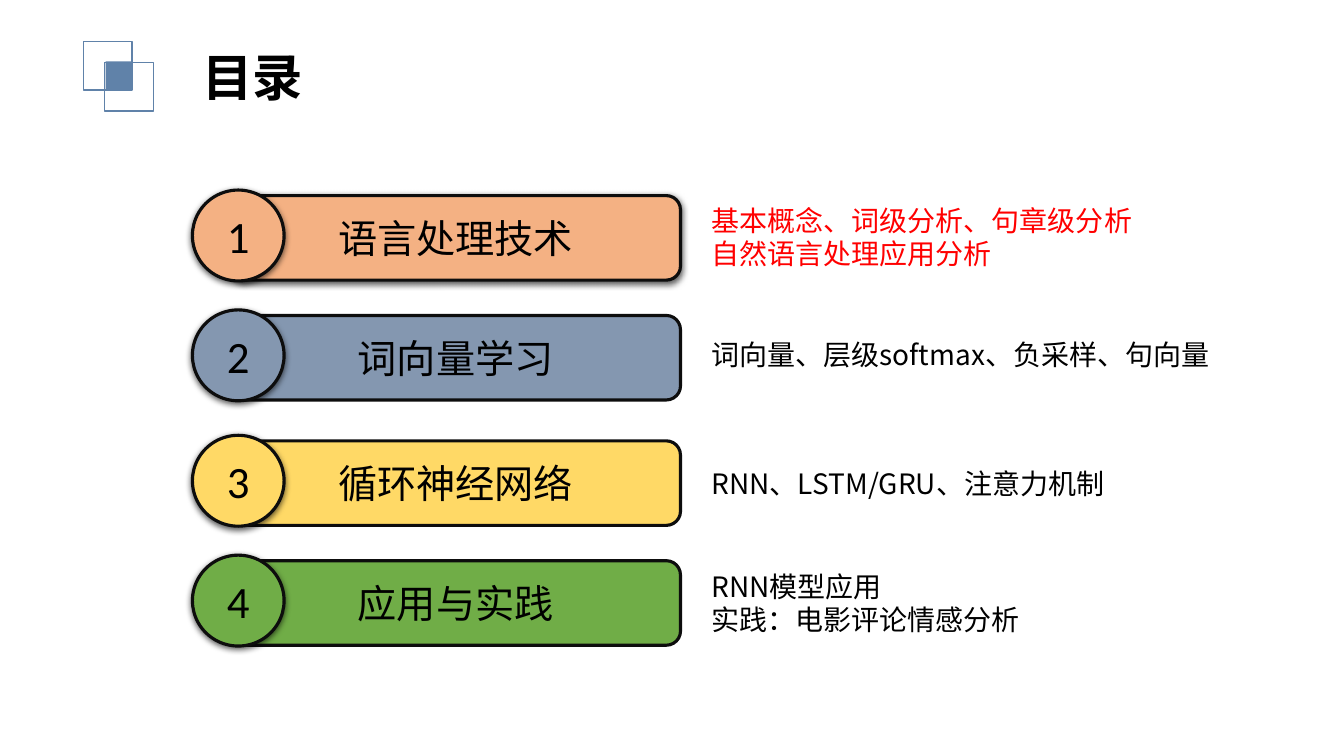
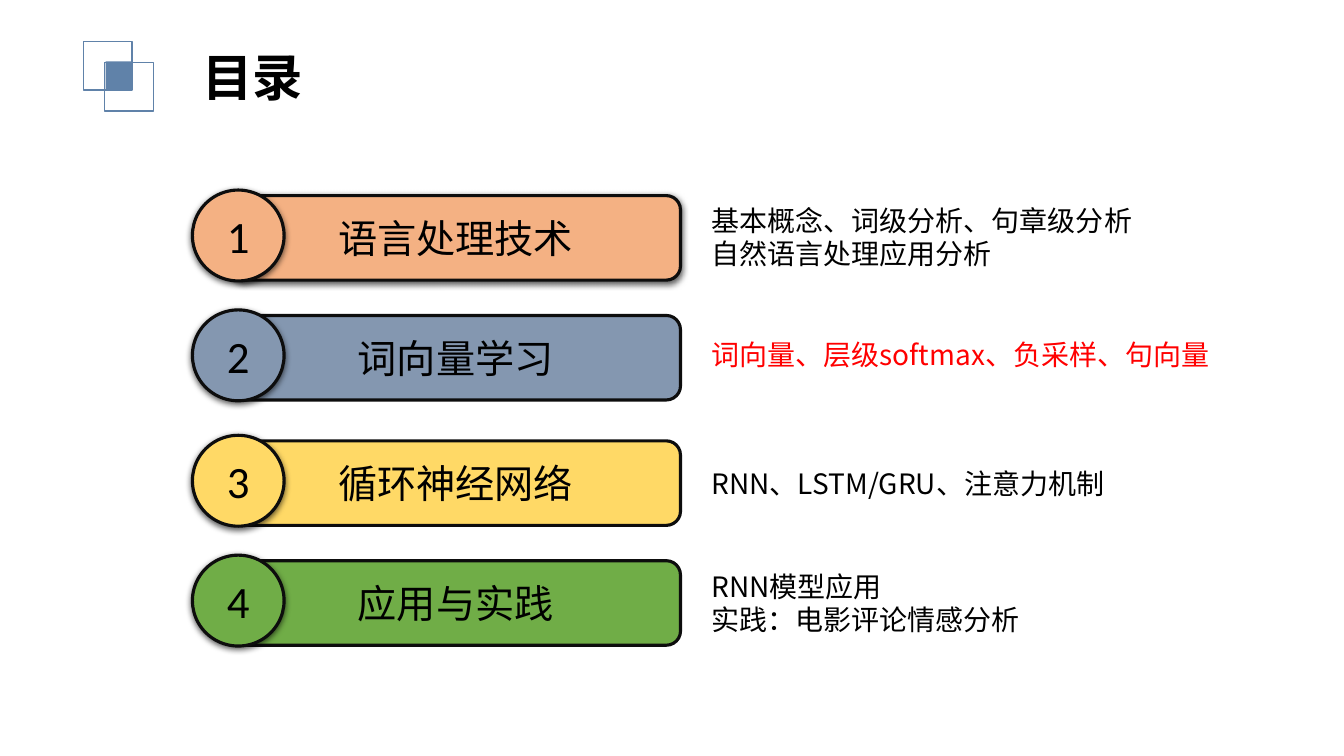
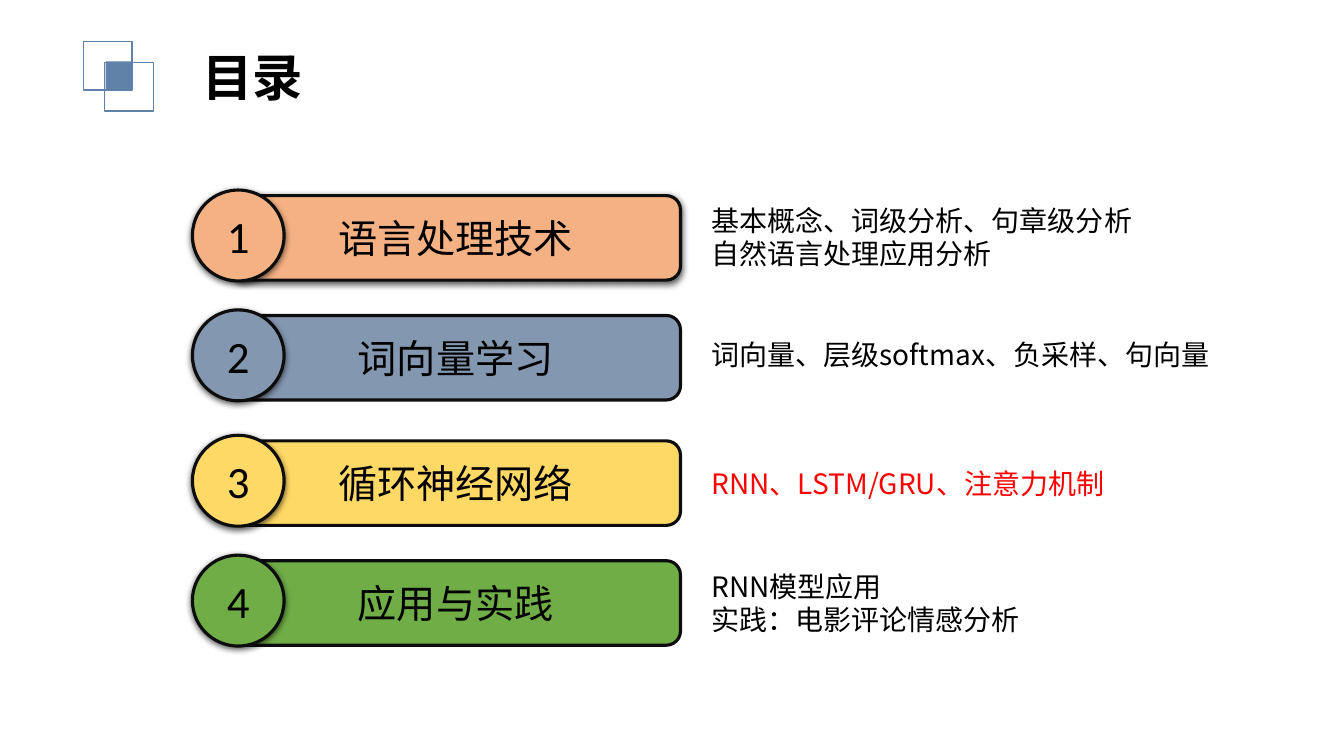
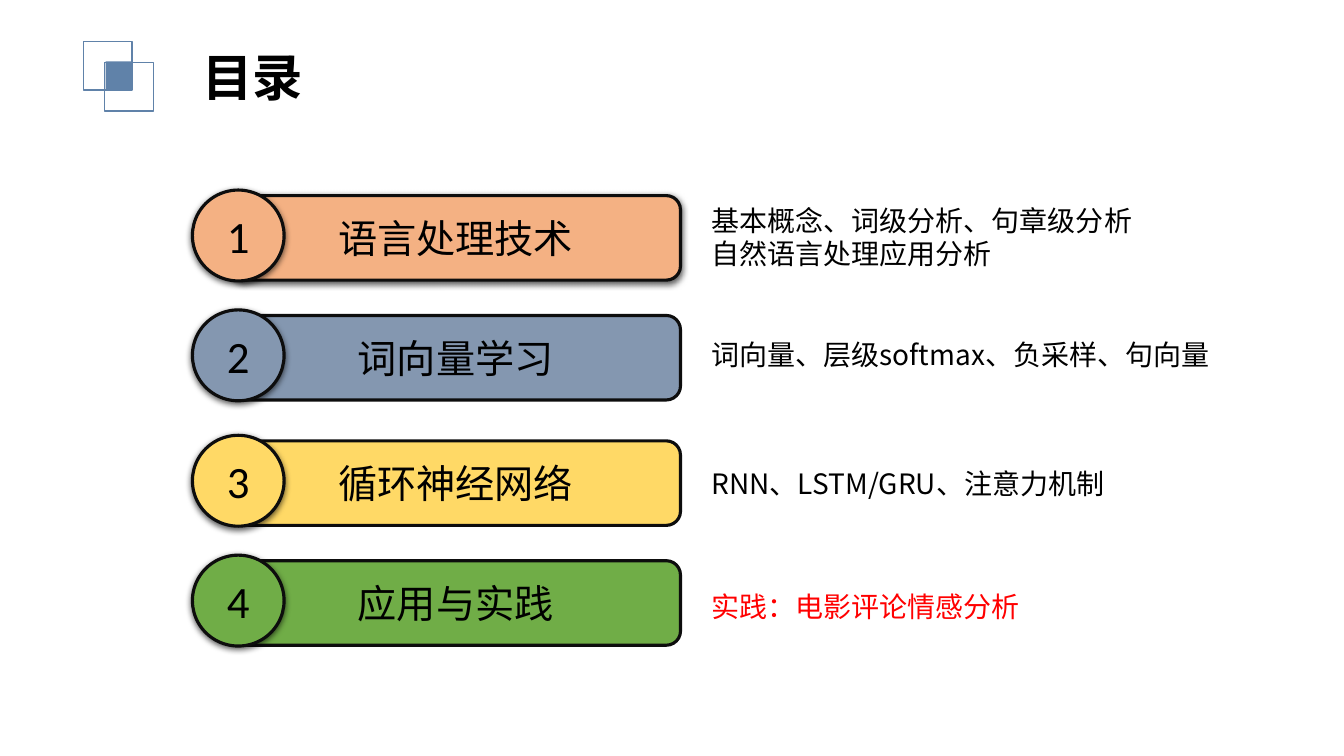
import dataclasses
import typing

import lxml.etree
import pptx
import pptx.dml.color
import pptx.enum.shapes
import pptx.enum.text
import pptx.oxml.ns
import pptx.util

Cm = pptx.util.Cm
Pt = pptx.util.Pt
qn = pptx.oxml.ns.qn
Kind = pptx.enum.shapes.MSO_SHAPE
Align = pptx.enum.text.PP_ALIGN


@dataclasses.dataclass(frozen=True)
class Theme:
    ink: str = "000000"
    edge: str = "0D0D0D"
    mark: str = "6082A9"
    hot: str = "FF0000"
    font: str = "Noto Sans CJK SC"
    digit: str = "Calibri"
    title: float = 36
    num: float = 32
    band: float = 28
    note: float = 20
    thick: float = 2.25
    thin: float = 1


@dataclasses.dataclass(frozen=True)
class Box:
    left: float
    top: float
    width: float
    height: float

    def lengths(self) -> tuple:
        return Cm(self.left), Cm(self.top), Cm(self.width), Cm(self.height)


@dataclasses.dataclass(frozen=True)
class Note:
    lines: tuple[str, ...]
    mid: float
    width: float

    def box(self) -> Box:
        height = 0.27 + 0.85 * len(self.lines)
        return Box(17.68, self.mid - height / 2, self.width, height)


@dataclasses.dataclass(frozen=True)
class Row:
    name: str
    fill: str
    top: float
    note: Note
    raised: bool = False


@dataclasses.dataclass(frozen=True)
class Mark:
    box: Box
    solid: bool = False


THEME = Theme()
MARKS = (
    Mark(Box(2.1, 1.04, 1.23, 1.23)),
    Mark(Box(2.64, 1.57, 1.23, 1.23)),
    Mark(Box(2.66, 1.55, 0.64, 0.69), True),
)
ROWS = (
    Row("语言处理技术", "F4B183", 4.93,
        Note(("基本概念、词级分析、句章级分析", "自然语言处理应用分析"), 5.98, 15.16), True),
    Row("词向量学习", "8497B0", 7.95,
        Note(("词向量、层级softmax、负采样、句向量",), 8.94, 15.37)),
    Row("循环神经网络", "FFD966", 11.11,
        Note(("RNN、LSTM/GRU、注意力机制",), 12.19, 15.7)),
    Row("应用与实践", "70AD47", 14.13,
        Note(("RNN模型应用", "实践：电影评论情感分析"), 15.2, 15.7)),
)
LAST = Note(("实践：电影评论情感分析",), 15.29, 15.7)


def tint(code: str) -> pptx.dml.color.RGBColor:
    return pptx.dml.color.RGBColor.from_string(code)


def write(frame, text: str, size: float, color: str = THEME.ink,
          font: str = THEME.font, bold: bool = False,
          align: typing.Optional[Align] = None) -> None:
    frame.text = text
    for para in frame.paragraphs:
        para.alignment = align
        for run in para.runs:
            run.font.size = Pt(size)
            run.font.bold = bold
            run.font.color.rgb = tint(color)
            run.font.name = font
            east = lxml.etree.SubElement(run.font._element, qn("a:ea"))
            east.set("typeface", font)


def draw(slide, kind: Kind, box: Box, fill: typing.Optional[str],
         edge: typing.Optional[str], thick: float):
    shape = slide.shapes.add_shape(kind, *box.lengths())
    shape.shadow.inherit = False
    if fill:
        shape.fill.solid()
        shape.fill.fore_color.rgb = tint(fill)
    else:
        shape.fill.background()
    if edge:
        shape.line.color.rgb = tint(edge)
        shape.line.width = Pt(thick)
    else:
        shape.line.fill.background()
    return shape


def shade(shape) -> None:
    effects = shape.element.spPr.find(qn("a:effectLst"))
    outer = lxml.etree.SubElement(
        effects, qn("a:outerShdw"), blurRad=str(Pt(4.5)), dist=str(Pt(1.5)),
        dir="5400000", algn="ctr", rotWithShape="0")
    color = lxml.etree.SubElement(outer, qn("a:srgbClr"), val=THEME.ink)
    lxml.etree.SubElement(color, qn("a:alpha"), val="63000")


def label(slide, kind: Kind, box: Box, fill: str, text: str, size: float,
          font: str, raised: bool) -> None:
    shape = draw(slide, kind, box, fill, THEME.edge, THEME.thick)
    if raised:
        shade(shape)
    shape.text_frame.vertical_anchor = pptx.enum.text.MSO_ANCHOR.MIDDLE
    write(shape.text_frame, text, size, font=font, align=Align.CENTER)


def prose(slide, box: Box, text: str, size: float, color: str = THEME.ink,
          bold: bool = False) -> None:
    frame = slide.shapes.add_textbox(*box.lengths()).text_frame
    frame.word_wrap = True
    frame.auto_size = pptx.enum.text.MSO_AUTO_SIZE.SHAPE_TO_FIT_TEXT
    write(frame, text, size, color, bold=bold)


def brand(layout, slide) -> None:
    tree = layout.shapes.element
    for holder in list(layout.placeholders):
        tree.remove(holder.element)
    for mark in MARKS:
        fill, edge = (THEME.mark, None) if mark.solid else (None, THEME.mark)
        shape = draw(slide, Kind.RECTANGLE, mark.box, fill, edge, THEME.thin)
        tree.append(shape.element)


def agenda(slide, rows: typing.Sequence[Row], active: int) -> None:
    prose(slide, Box(4.85, 1.04, 3.23, 1.8), "目录", THEME.title, bold=True)
    for num, row in enumerate(rows, 1):
        label(slide, Kind.ROUNDED_RECTANGLE, Box(5.82, row.top, 11.33, 2.13),
              row.fill, row.name, THEME.band, THEME.font, row.raised)
        label(slide, Kind.OVAL, Box(4.85, row.top - 0.14, 2.31, 2.29),
              row.fill, str(num), THEME.num, THEME.digit, True)
        color = THEME.hot if num == active else THEME.ink
        prose(slide, row.note.box(), "\n".join(row.note.lines), THEME.note, color)


def main() -> None:
    deck = pptx.Presentation()
    deck.slide_width, deck.slide_height = Cm(33.87), Cm(19.05)
    blank = deck.slide_layouts[6]
    final = (*ROWS[:-1], dataclasses.replace(ROWS[-1], note=LAST))
    for active in range(1, len(ROWS) + 1):
        slide = deck.slides.add_slide(blank)
        if active == 1:
            brand(blank, slide)
        agenda(slide, final if active == len(ROWS) else ROWS, active)
    deck.save("out.pptx")


if __name__ == "__main__":
    main()
